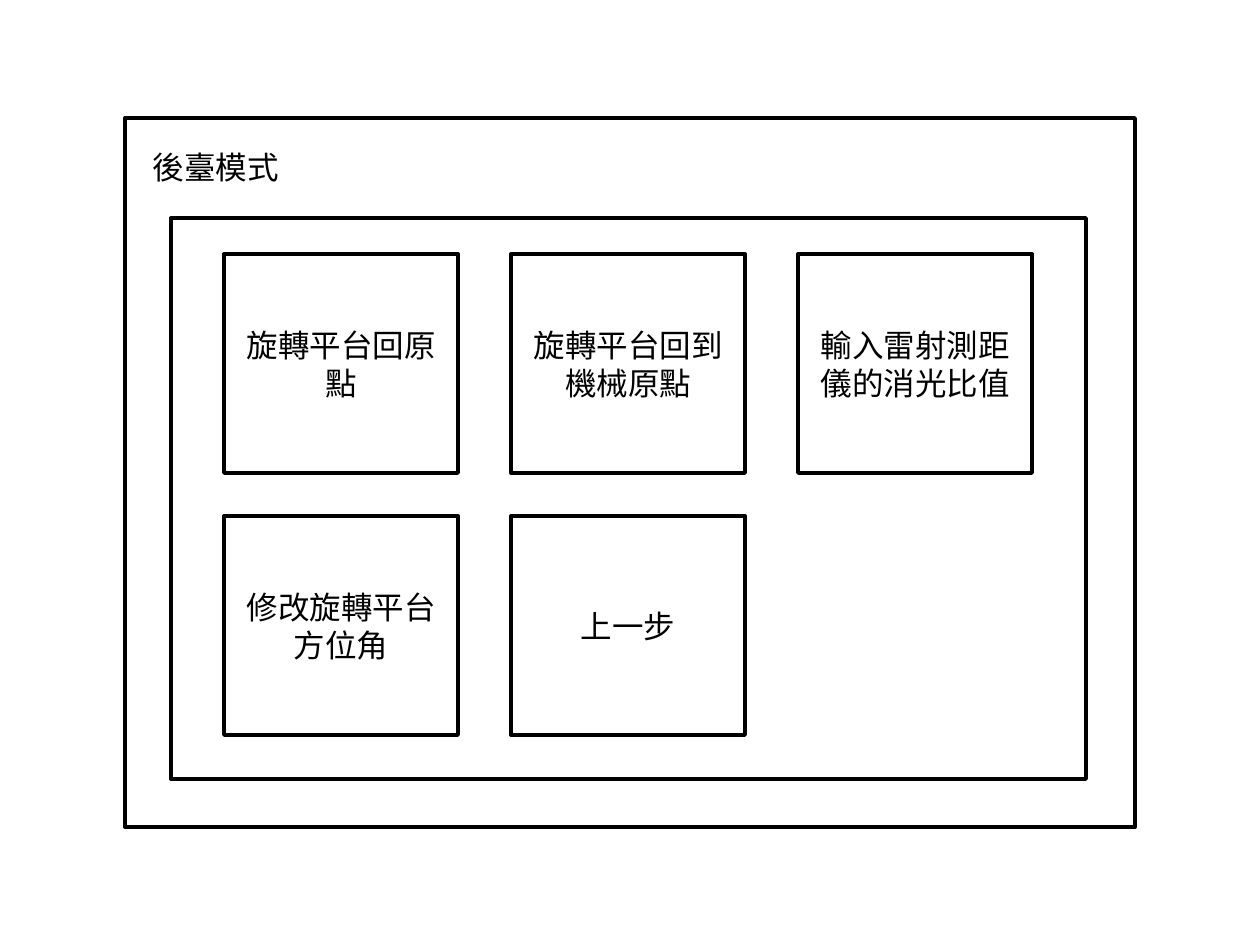
import pptx
import pptx.util
import pptx.dml.color
import pptx.enum.shapes
import pptx.enum.text
import pptx.oxml.ns
import lxml.etree

SCALE = 914400 / 126
FONT = "Noto Sans CJK SC"
COLORS = {"paper": "FFFFFF", "ink": "000000"}
BUTTON_LABELS = [
    "旋轉平台回原點",
    "旋轉平台回到機械原點",
    "輸入雷射測距儀的消光比值",
    "修改旋轉平台方位角",
    "上一步",
]
COLUMNS = 3
GRID_LEFT, GRID_TOP = 224, 254
COLUMN_STEP, ROW_STEP = 287, 262
BUTTON_WIDTH, BUTTON_HEIGHT = 234, 219


def px(length):
    """Turn pixels into EMU."""
    return pptx.util.Emu(round(length * SCALE))


def color(name):
    """Look up a palette colour."""
    return pptx.dml.color.RGBColor.from_string(COLORS[name])


def write_text(shape, text):
    """Put one centred line of text in a shape."""
    shape.text_frame.text = text
    para = shape.text_frame.paragraphs[0]
    para.alignment = pptx.enum.text.PP_ALIGN.CENTER
    span = para.runs[0]
    span.font.size = pptx.util.Pt(18)
    span.font.name = FONT
    span.font.color.rgb = color("ink")
    east_asian = lxml.etree.SubElement(
        span.font._element, pptx.oxml.ns.qn("a:ea"))
    east_asian.set("typeface", FONT)


def add_box(page, left, top, width, height, text=None):
    """Draw an outlined white rectangle, with a label if one is given."""
    box = page.shapes.add_shape(
        pptx.enum.shapes.MSO_SHAPE.RECTANGLE,
        px(left), px(top), px(width), px(height))
    box.shadow.inherit = False
    box.fill.solid()
    box.fill.fore_color.rgb = color("paper")
    box.line.color.rgb = color("ink")
    box.line.width = pptx.util.Pt(2.25)
    if text:
        box.text_frame.word_wrap = True
        box.text_frame.vertical_anchor = pptx.enum.text.MSO_ANCHOR.MIDDLE
        write_text(box, text)


def place_title(page, text, left, top, width, height):
    """Move the title placeholder to its place, in front of the frames."""
    title = page.shapes.title
    title.left, title.top = px(left), px(top)
    title.width, title.height = px(width), px(height)
    frame = title.text_frame
    frame.word_wrap = False
    frame.auto_size = pptx.enum.text.MSO_AUTO_SIZE.SHAPE_TO_FIT_TEXT
    frame.vertical_anchor = pptx.enum.text.MSO_ANCHOR.TOP
    write_text(title, text)
    title.element.getparent().append(title.element)


def add_button_grid(page):
    """Lay out the menu buttons row by row."""
    for index, label in enumerate(BUTTON_LABELS):
        row, column = divmod(index, COLUMNS)
        add_box(page, GRID_LEFT + column * COLUMN_STEP,
                GRID_TOP + row * ROW_STEP,
                BUTTON_WIDTH, BUTTON_HEIGHT, label)


def main():
    """Build the back-office mode screen."""
    deck = pptx.Presentation()
    deck.slide_width, deck.slide_height = px(1260), px(945)
    page = deck.slides.add_slide(deck.slide_layouts.get_by_name("Title Only"))
    add_box(page, 125, 118, 1010, 709)
    add_box(page, 171, 218, 915, 561)
    place_title(page, "後臺模式", 140, 142, 152, 50)
    add_button_grid(page)
    deck.save("out.pptx")


main()
